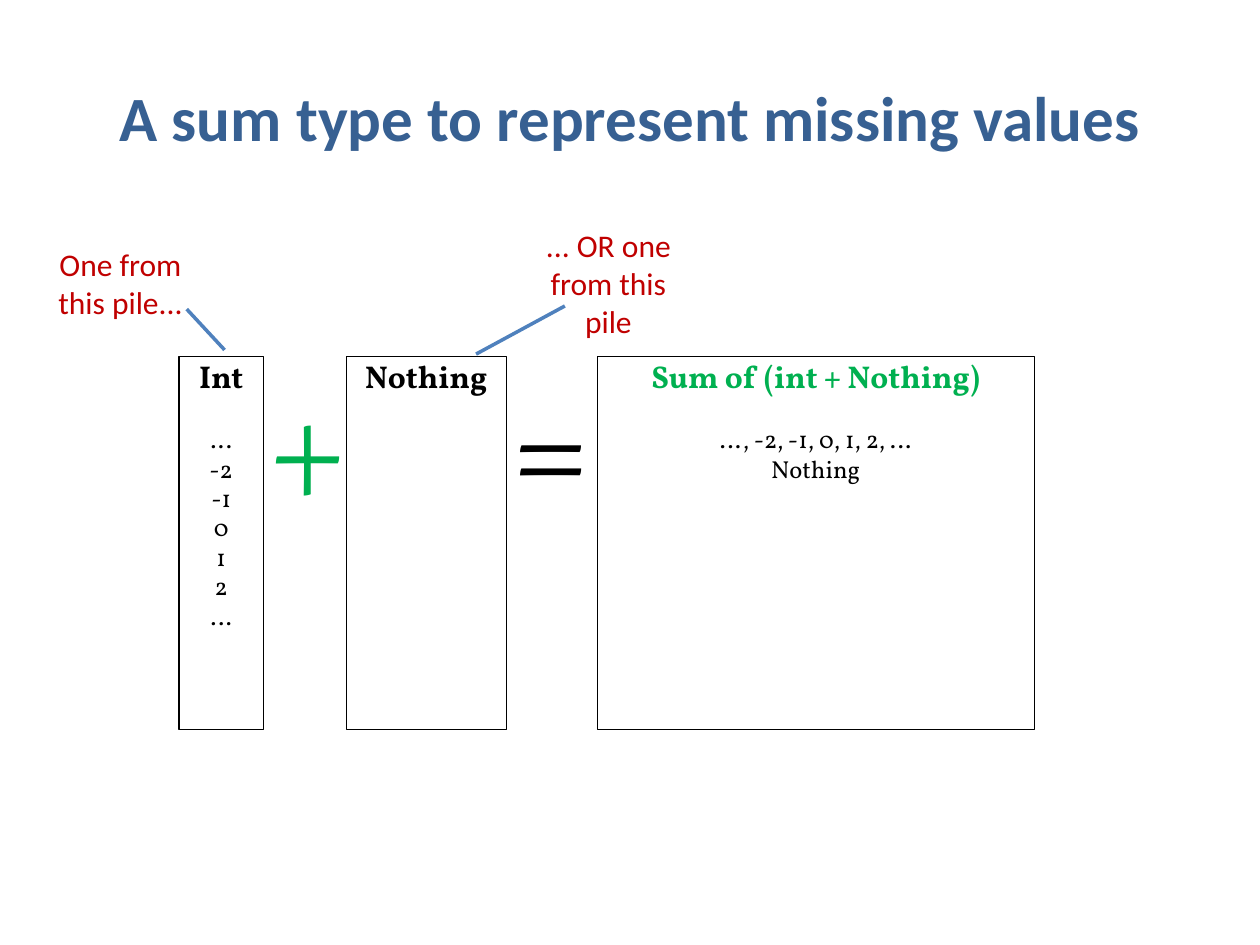
import pptx
import pptx.util
import pptx.dml.color
import pptx.enum.shapes
import pptx.enum.text

Cm = pptx.util.Cm
Pt = pptx.util.Pt
SHAPE = pptx.enum.shapes.MSO_SHAPE
ALIGN = pptx.enum.text.PP_ALIGN
ANCHOR = pptx.enum.text.MSO_ANCHOR

COLORS = {
    "title": "376092",
    "ink": "000000",
    "sum": "00B050",
    "note": "C00000",
    "pointer": "4F81BD",
    "paper": "FFFFFF",
}
HEADING_FONT, PILE_FONT = "Calibri", "Vollkorn"
PILE_TOP, PILE_HEIGHT = 7.19, 7.52


def rgb(name):
    return pptx.dml.color.RGBColor.from_string(COLORS[name])


def format_paragraph(paragraph, font, size, color, bold=False, alignment=ALIGN.CENTER):
    paragraph.alignment = alignment
    for run in paragraph.runs:
        run.font.name = font
        run.font.size = Pt(size)
        run.font.bold = bold
        run.font.color.rgb = rgb(color)


def set_margins(text_frame, horizontal):
    text_frame.margin_left = text_frame.margin_right = Cm(horizontal)
    text_frame.margin_top = text_frame.margin_bottom = 0


def add_outlined_shape(slide, kind, box, line_color, line_width):
    shape = slide.shapes.add_shape(kind, *map(Cm, box))
    shape.shadow.inherit = False
    shape.fill.solid()
    shape.fill.fore_color.rgb = rgb("paper")
    shape.line.color.rgb = rgb(line_color)
    shape.line.width = Pt(line_width)
    shape.text_frame.word_wrap = True
    return shape


def set_title(slide, box, text):
    title = slide.shapes.title
    title.left, title.top, title.width, title.height = map(Cm, box)
    title.text_frame.text = text
    title.text_frame.vertical_anchor = ANCHOR.MIDDLE
    format_paragraph(title.text_frame.paragraphs[0], HEADING_FONT, 36, "title", bold=True)


def add_pile(slide, box, heading, values=(), heading_color="ink"):
    """Draw a type as a box with its name above its possible values."""
    pile = add_outlined_shape(slide, SHAPE.RECTANGLE, box, "ink", 0.75)
    text_frame = pile.text_frame
    text_frame.vertical_anchor = ANCHOR.TOP
    set_margins(text_frame, 0.05)
    text_frame.text = "\n".join([heading, *values])
    name, *lines = text_frame.paragraphs
    format_paragraph(name, PILE_FONT, 18, heading_color, bold=True)
    for line in lines:
        format_paragraph(line, PILE_FONT, 14, "ink")
    if lines:
        lines[0].space_before = Pt(17)


def add_operator(slide, box, symbol, color):
    text_frame = slide.shapes.add_textbox(*map(Cm, box)).text_frame
    text_frame.word_wrap = True
    set_margins(text_frame, 0)
    text_frame.text = symbol
    format_paragraph(text_frame.paragraphs[0], PILE_FONT, 80, color, alignment=ALIGN.LEFT)


def add_note(slide, box, text, pointer):
    """Add a borderless callout; pointer is y, x of both line ends as shares of the box."""
    note = add_outlined_shape(slide, SHAPE.LINE_CALLOUT_1_NO_BORDER, box, "pointer", 2)
    for index, share in enumerate(pointer):
        note.adjustments[index] = share
    note.text_frame.text = text
    note.text_frame.vertical_anchor = ANCHOR.MIDDLE
    format_paragraph(note.text_frame.paragraphs[0], HEADING_FONT, 18, "note")


def add_equation(slide, top, height):
    """Lay out Int + Nothing = Sum from left to right."""
    def column(left, width):
        return left, top, width, height

    add_pile(slide, column(3.61, 1.7), "Int", ["...", "-2", "-1", "0", "1", "2", "…"])
    add_pile(slide, column(6.98, 3.23), "Nothing")
    add_pile(slide, column(12.04, 8.81), "Sum of (int + Nothing)",
             ["…, -2, -1, 0, 1, 2, …", "Nothing"], "sum")
    add_operator(slide, column(5.44, 1.5), "+", "sum")
    add_operator(slide, column(10.34, 1.5), "=", "ink")


def main():
    presentation = pptx.Presentation()
    presentation.slide_width, presentation.slide_height = Cm(25.4), Cm(19.05)
    slide = presentation.slides.add_slide(presentation.slide_layouts.get_by_name("Title Only"))
    set_title(slide, (1.27, 0.76, 22.86, 3.18), "A sum type to represent missing values")
    add_equation(slide, PILE_TOP, PILE_HEIGHT)
    add_note(slide, (0.84, 4.65, 3.18, 2.11), "One from this pile...",
             (0.75, 0.92, 1.14, 1.16))
    add_note(slide, (10.36, 4.65, 3.81, 2.11), "... OR one from this pile",
             (0.72, 0.27, 1.18, -0.2))
    presentation.save("out.pptx")


if __name__ == "__main__":
    main()
